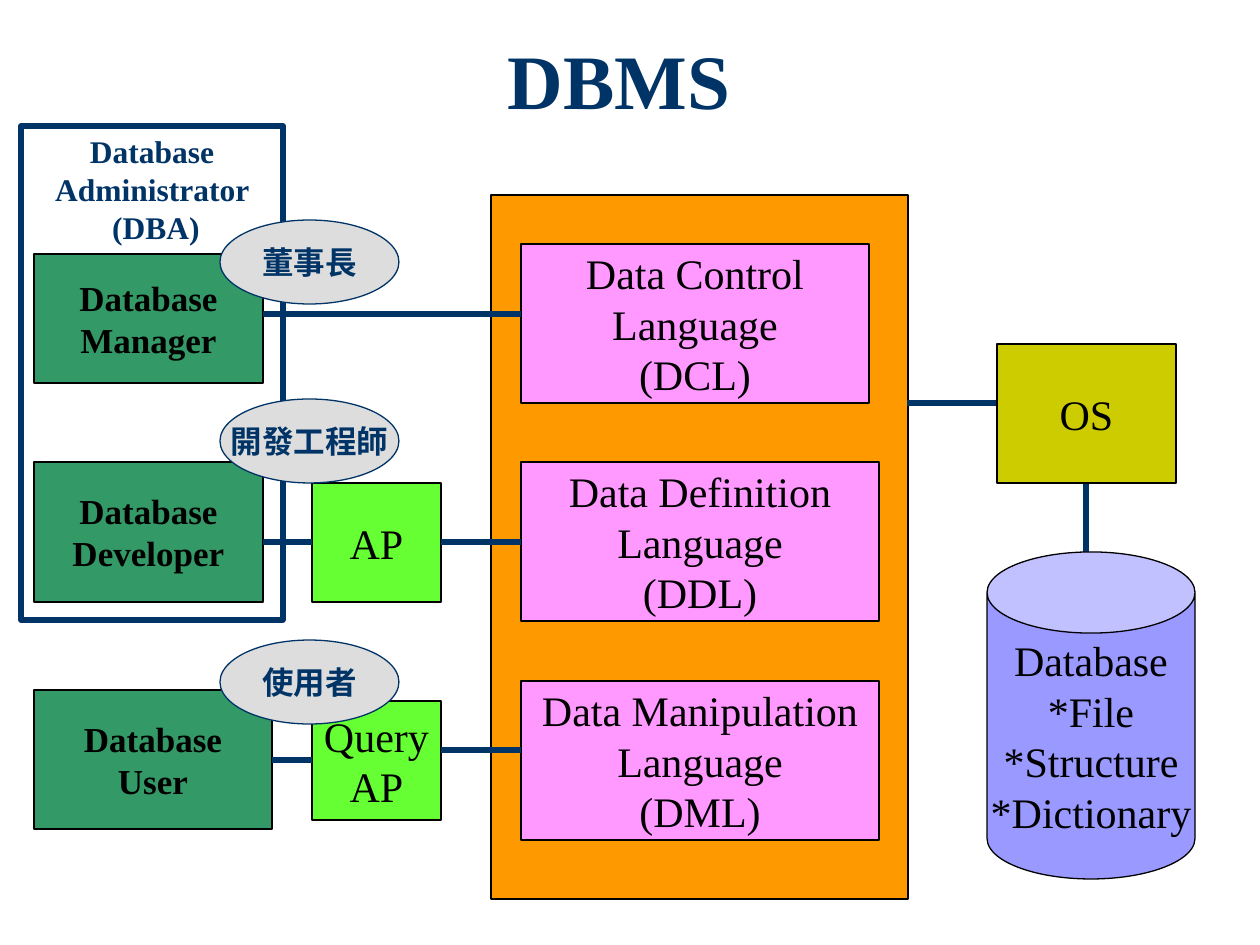
from lxml import etree
from pptx import Presentation
from pptx.dml.color import RGBColor
from pptx.enum.shapes import MSO_CONNECTOR, MSO_SHAPE
from pptx.enum.text import MSO_ANCHOR, PP_ALIGN
from pptx.oxml.ns import qn
from pptx.util import Pt

RECTANGLE = MSO_SHAPE.RECTANGLE
OVAL = MSO_SHAPE.OVAL
CAN = MSO_SHAPE.CAN
STRAIGHT = MSO_CONNECTOR.STRAIGHT
CENTER = PP_ALIGN.CENTER
MIDDLE = MSO_ANCHOR.MIDDLE
TOP = MSO_ANCHOR.TOP

PIXEL = 914400 / 126
FONT = "Times New Roman"
color = RGBColor.from_string
NAVY, BLACK, WHITE = "003366", "000000", "FFFFFF"
GREEN, LIME, PINK, ORANGE = "339966", "66FF33", "FF99FF", "FF9900"
OLIVE, LILAC, GRAY = "CCCC00", "9999FF", "DDDDDD"


def write_lines(box, lines, size, ink, bold=False, anchor=MIDDLE, wrap=False):
    """Write centred lines into a shape, one paragraph each."""
    frame = box.text_frame
    frame.word_wrap = wrap
    frame.vertical_anchor = anchor
    for index, line in enumerate(lines):
        para = frame.add_paragraph() if index else frame.paragraphs[0]
        para.alignment = CENTER
        span = para.add_run()
        span.text = line
        span.font.name = FONT
        span.font.size = Pt(size)
        span.font.bold = bold
        span.font.color.rgb = color(ink)


def add_box(shapes, kind, place, fill, ink=BLACK, width=0.75):
    """Add a filled and outlined shape placed in pixels."""
    box = shapes.add_shape(kind, *[round(n * PIXEL) for n in place])
    box.shadow.inherit = False
    box.fill.solid()
    box.fill.fore_color.rgb = color(fill)
    box.line.color.rgb = color(ink)
    box.line.width = Pt(width)
    return box


deck = Presentation()
deck.slide_width = round(1260 * PIXEL)
deck.slide_height = round(945 * PIXEL)
page = deck.slides.add_slide(deck.slide_layouts[5])

title = page.shapes.title
title.left, title.top, title.width, title.height = [
    round(n * PIXEL) for n in (73, 32, 1092, 105)]
write_lines(title, ["DBMS"], 44, NAVY, bold=True, wrap=True)
title.text_frame.paragraphs[0].line_spacing = 0.9

# Administrator frame with its heading
administrator = page.shapes.add_group_shape()
add_box(administrator.shapes, RECTANGLE, (21, 126, 262, 494), WHITE, NAVY, 3)
heading = administrator.shapes.add_textbox(
    *[round(n * PIXEL) for n in (42, 126, 228, 126)])
write_lines(heading, ["Database ", "Administrator ", "(DBA)"], 18, NAVY,
            bold=True, anchor=TOP)

# People
for role, top, width, height in [("Manager", 254, 229, 129),
                                 ("Developer", 462, 229, 140),
                                 ("User", 690, 238, 139)]:
    person = add_box(page.shapes, RECTANGLE, (34, top, width, height), GREEN)
    write_lines(person, ["Database", role], 20, BLACK, bold=True)

# Languages inside the DBMS
add_box(page.shapes, RECTANGLE, (491, 195, 417, 704), ORANGE)
for purpose, short, top, width in [("Control", "DCL", 244, 348),
                                   ("Definition", "DDL", 462, 358),
                                   ("Manipulation", "DML", 681, 358)]:
    language = add_box(page.shapes, RECTANGLE, (521, top, width, 159), PINK)
    write_lines(language, [f"Data {purpose}", "Language", f"({short})"],
                24, BLACK)

# Application programs
for lines, top in [(["AP"], 483), (["Query", "AP"], 701)]:
    program = add_box(page.shapes, RECTANGLE, (312, top, 129, 119), LIME)
    write_lines(program, lines, 24, BLACK)

# Links
for ends in [(263, 314, 521, 314), (263, 542, 312, 542), (441, 542, 521, 542),
             (272, 760, 312, 760), (441, 750, 521, 750), (907, 403, 997, 403),
             (1086, 483, 1086, 562)]:
    link = page.shapes.add_connector(
        STRAIGHT, *[round(n * PIXEL) for n in ends])
    link.line.color.rgb = color(NAVY)
    link.line.width = Pt(3)
    etree.SubElement(link._element.spPr, qn("a:effectLst"))

# Operating system and storage
system = add_box(page.shapes, RECTANGLE, (997, 344, 179, 139), OLIVE)
write_lines(system, ["OS"], 24, BLACK)
storage = add_box(page.shapes, CAN, (987, 552, 208, 327), LILAC)
storage.adjustments[0] = 0.39
write_lines(storage, ["Database", "*File", "*Structure", "*Dictionary"],
            24, BLACK)

# Job titles
for job, top in [("董事長", 220), ("開發工程師", 399), ("使用者", 640)]:
    badge = add_box(page.shapes, OVAL, (220, top, 179, 84), GRAY, NAVY)
    write_lines(badge, [job], 18, NAVY, bold=True)

deck.save("out.pptx")
